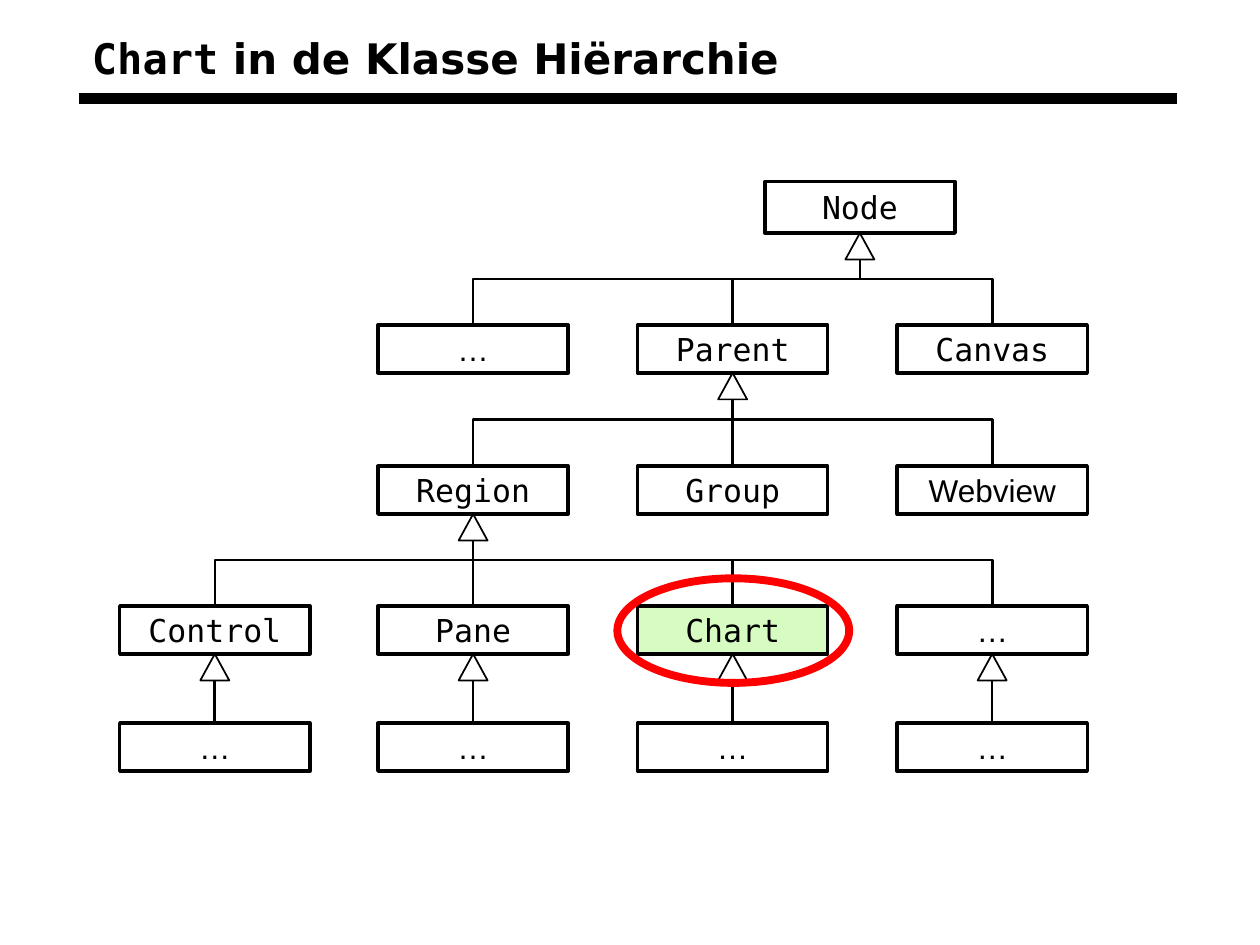
import pptx
import pptx.util
import pptx.dml.color
import pptx.enum.shapes
import pptx.enum.text
import pptx.oxml
import pptx.oxml.ns
from pptx.util import Inches

COLORS = {"ink": "000000", "paper": "FFFFFF", "highlight": "D6FCC1", "ring": "FF0000"}
SANS, MONO, BODY = "DejaVu Sans", "DejaVu Sans Mono", "Arial"
SHAPES = pptx.enum.shapes.MSO_SHAPE
CONNECTORS = pptx.enum.shapes.MSO_CONNECTOR
ALIGN = pptx.enum.text.PP_ALIGN

BOX_WIDTH, BOX_HEIGHT, ROOT_HEIGHT = 1.51, 0.38, 0.41
COLUMNS = (0.95, 3, 5.06, 7.12)
ROWS = (2.58, 3.7, 4.81, 5.74)
ROOT_LEFT, ROOT_TOP = 6.07, 1.44
LEVELS = (
    (("…", 1), ("Parent", 2), ("Canvas", 3)),
    (("Region", 1), ("Group", 2), ("Webview", 3)),
    (("Control", 0), ("Pane", 1), ("Chart", 2), ("…", 3)),
    (("…", 0), ("…", 1), ("…", 2), ("…", 3)),
)
PARENT_COLUMNS = (2, 1)


class HierarchySlide:
    def __init__(self, deck):
        self.page = deck.slides.add_slide(deck.slide_layouts[5])
        self.shapes = self.page.shapes

    def color(self, name):
        return pptx.dml.color.RGBColor.from_string(COLORS[name])

    def title(self, spans, left, top, width, height):
        box = self.shapes.title
        box.left, box.top = Inches(left), Inches(top)
        box.width, box.height = Inches(width), Inches(height)
        box.text_frame.vertical_anchor = pptx.enum.text.MSO_ANCHOR.MIDDLE
        para = box.text_frame.paragraphs[0]
        para.alignment = ALIGN.LEFT
        para.font.size = pptx.util.Pt(24)
        para.font.bold = True
        para.font.color.rgb = self.color("ink")
        for text, font in spans:
            span = para.add_run()
            span.text = text
            span.font.name = font

    def shape(self, kind, left, top, width, height, fill="paper", line="ink", weight=2.0):
        shape = self.shapes.add_shape(
            kind, Inches(left), Inches(top), Inches(width), Inches(height))
        shape.shadow.inherit = False
        if fill:
            shape.fill.solid()
            shape.fill.fore_color.rgb = self.color(fill)
        else:
            shape.fill.background()
        shape.line.color.rgb = self.color(line)
        shape.line.width = pptx.util.Pt(weight)
        return shape

    def class_box(self, name, left, top, height=BOX_HEIGHT):
        fill = "highlight" if name == "Chart" else "paper"
        box = self.shape(SHAPES.RECTANGLE, left, top, BOX_WIDTH, height, fill)
        para = box.text_frame.paragraphs[0]
        para.text = name
        para.alignment = ALIGN.CENTER
        para.font.size = pptx.util.Pt(18)
        para.font.name = BODY if name in ("…", "Webview") else MONO
        para.font.color.rgb = self.color("ink")

    def triangle(self, center, top):
        self.shape(SHAPES.ISOSCELES_TRIANGLE, center - 0.115, top, 0.23, 0.21, weight=1)

    def line(self, kind, start_x, start_y, end_x, end_y, weight):
        line = self.shapes.add_connector(
            kind, Inches(start_x), Inches(start_y), Inches(end_x), Inches(end_y))
        line.line.color.rgb = self.color("ink")
        line.line.width = pptx.util.Pt(weight)
        properties = line._element.spPr
        properties.append(pptx.oxml.parse_xml(
            "<a:effectLst %s/>" % pptx.oxml.ns.nsdecls("a")))
        return properties

    def inheritance(self, child_x, child_y, parent_x, parent_y):
        middle_x, middle_y = (child_x + parent_x) / 2, (child_y + parent_y) / 2
        half_rise, half_run = (child_y - parent_y) / 2, (parent_x - child_x) / 2
        properties = self.line(
            CONNECTORS.ELBOW, middle_x - half_rise, middle_y - half_run,
            middle_x + half_rise, middle_y + half_run, 1.5)
        properties.xfrm.set("rot", str(270 * 60000))


def main():
    deck = pptx.Presentation()
    deck.slide_width, deck.slide_height = Inches(10), Inches(7.5)
    slide = HierarchySlide(deck)
    slide.title((("Chart", MONO), (" in de Klasse Hiërarchie", SANS)), 0.63, 0.14, 8.71, 0.64)
    slide.line(CONNECTORS.STRAIGHT, 0.63, 0.78, 9.34, 0.78, 6)

    centers = [left + BOX_WIDTH / 2 for left in COLUMNS]
    bottoms = [top + BOX_HEIGHT for top in ROWS]
    root = (ROOT_LEFT + BOX_WIDTH / 2, ROOT_TOP + ROOT_HEIGHT)
    branches = [root] + [(centers[column], bottoms[row])
                         for row, column in enumerate(PARENT_COLUMNS)]
    leaves = [(center, bottoms[2]) for center in centers]

    for row, level in enumerate(LEVELS):
        for name, column in level:
            parent = branches[row] if row < len(branches) else leaves[column]
            slide.inheritance(centers[column], ROWS[row], *parent)

    slide.class_box("Node", ROOT_LEFT, ROOT_TOP, ROOT_HEIGHT)
    for top, level in zip(ROWS, LEVELS):
        for name, column in level:
            slide.class_box(name, COLUMNS[column], top)

    for center, bottom in branches + leaves:
        slide.triangle(center, bottom)
    slide.shape(SHAPES.OVAL, 4.9, 4.59, 1.84, 0.83, fill=None, line="ring", weight=4.5)
    deck.save("out.pptx")


if __name__ == "__main__":
    main()
